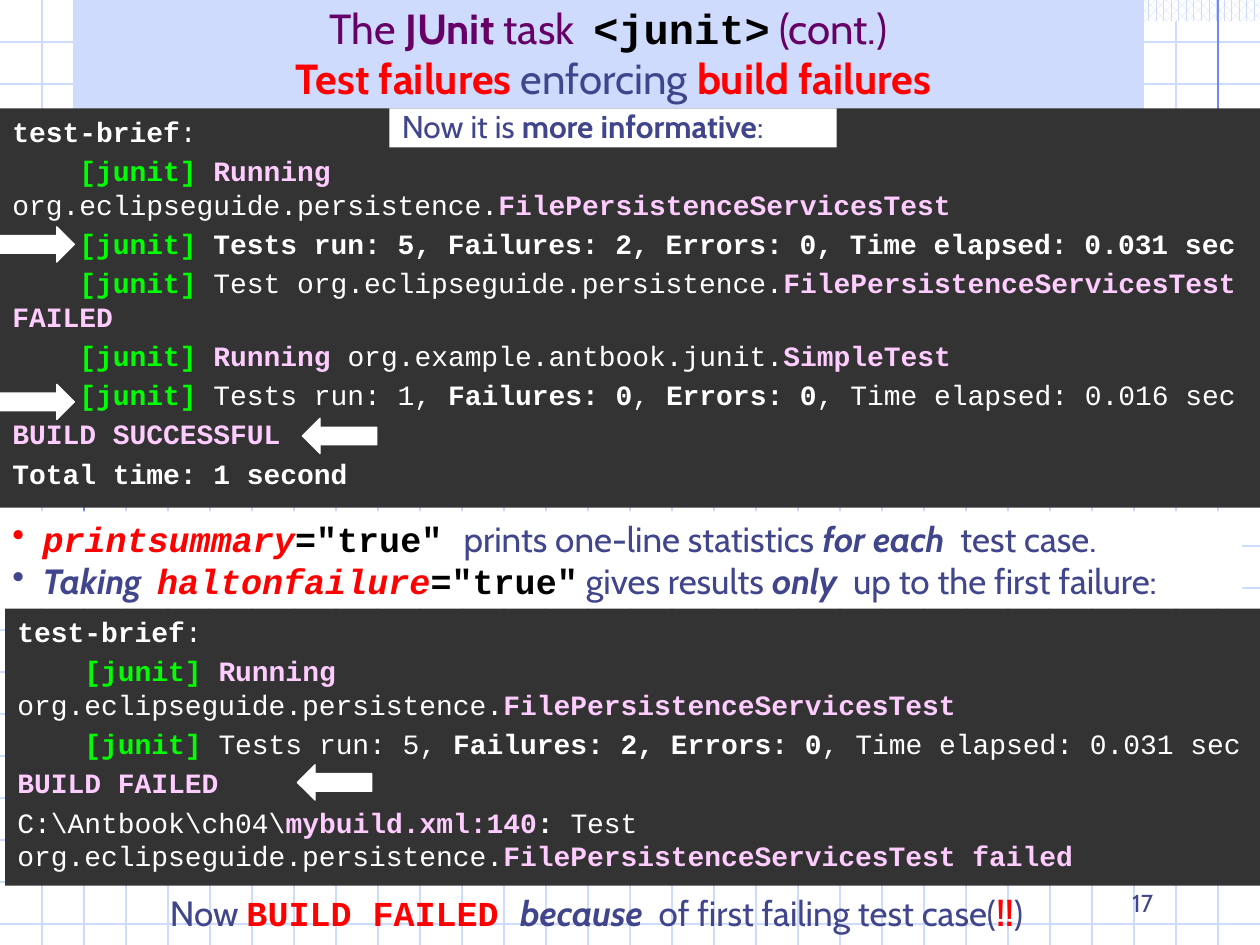
from typing import NamedTuple

from lxml import etree
from pptx import Presentation
from pptx.dml.color import RGBColor
from pptx.enum.dml import MSO_PATTERN
from pptx.enum.shapes import MSO_CONNECTOR, MSO_SHAPE
from pptx.enum.text import MSO_ANCHOR, PP_ALIGN
from pptx.oxml.ns import qn
from pptx.util import Inches, Pt

RECTANGLE, RIGHT_ARROW = MSO_SHAPE.RECTANGLE, MSO_SHAPE.RIGHT_ARROW
STRAIGHT = MSO_CONNECTOR.STRAIGHT
TOP, BOTTOM = MSO_ANCHOR.TOP, MSO_ANCHOR.BOTTOM
LEFT, CENTER, RIGHT = PP_ALIGN.LEFT, PP_ALIGN.CENTER, PP_ALIGN.RIGHT
DOTTED = MSO_PATTERN.PERCENT_60

WHITE = RGBColor(0xFF, 0xFF, 0xFF)
BLACK = RGBColor(0, 0, 0)
CHARCOAL = RGBColor(0x33, 0x33, 0x33)
PALE_BLUE = RGBColor(0xCF, 0xDB, 0xFD)
RULE_BLUE = RGBColor(0x6F, 0x89, 0xF7)
INDIGO = RGBColor(0x40, 0x45, 0x8C)
PURPLE = RGBColor(0x66, 0, 0x66)
RED = RGBColor(0xFF, 0, 0)
GREEN = RGBColor(0, 0xFF, 0)
PINK = RGBColor(0xFF, 0xCC, 0xFF)

SLIDE_WIDTH, SLIDE_HEIGHT = Inches(10), Inches(7.5)
GRID_COLUMNS, GRID_ROWS = 30, 22.5
BODY, MONO = "Cabin", "Courier New"


class Style(NamedTuple):
    color: RGBColor
    font: str = BODY
    bold: bool = False
    italic: bool = False


PLAIN = Style(INDIGO)
STRONG = Style(INDIGO, bold=True)
EMPHASIS = Style(INDIGO, bold=True, italic=True)
ALERT = Style(RED, bold=True)
HEADING, HEADING_STRONG = Style(PURPLE), Style(PURPLE, bold=True)
CODE = Style(BLACK, MONO, True)
ATTRIBUTE = Style(RED, MONO, True, True)
OUTPUT, OUTPUT_BOLD = Style(WHITE, MONO), Style(WHITE, MONO, True)
TAG, NAME = Style(GREEN, MONO, True), Style(PINK, MONO, True)

JUNIT = [("    ", OUTPUT), ("[junit] ", TAG)]
PACKAGE = "org.eclipseguide.persistence."
TEST_CLASS = "FilePersistenceServicesTest"
OPENING = [
    [("test-brief", OUTPUT_BOLD), (":", OUTPUT)],
    JUNIT + [("Running ", NAME), (PACKAGE, OUTPUT), (TEST_CLASS, NAME)],
]
PASSING_OUTPUT = OPENING + [
    JUNIT + [("Tests run: 5, Failures: 2, Errors: 0, Time elapsed: 0.031 sec", OUTPUT_BOLD)],
    JUNIT + [("Test " + PACKAGE, OUTPUT), (TEST_CLASS + " FAILED", NAME)],
    JUNIT + [("Running ", NAME), ("org.example.antbook.junit.", OUTPUT), ("SimpleTest", NAME)],
    JUNIT + [("Tests run: 1, ", OUTPUT), ("Failures: 0", OUTPUT_BOLD), (", ", OUTPUT),
             ("Errors: 0", OUTPUT_BOLD), (", Time elapsed: 0.016 sec", OUTPUT)],
    [("BUILD SUCCESSFUL", NAME)],
    [("Total time: 1 second", OUTPUT_BOLD)],
]
FAILING_OUTPUT = OPENING + [
    JUNIT + [("Tests run: 5, ", OUTPUT), ("Failures: 2, Errors: 0", OUTPUT_BOLD),
             (", Time elapsed: 0.031 sec", OUTPUT)],
    [("BUILD FAILED", NAME)],
    [("C:\\Antbook\\ch04\\", OUTPUT), ("mybuild.xml:140", NAME), (": ", OUTPUT_BOLD),
     ("Test " + PACKAGE, OUTPUT), (TEST_CLASS + " failed", NAME)],
]
TITLE_LINES = [
    [("The ", HEADING), ("JUnit", HEADING_STRONG), (" task  ", HEADING),
     ("<junit>", CODE), (" (cont.)", HEADING)],
    [(" ", HEADING), ("Test failures ", ALERT), ("enforcing ", PLAIN), ("build failures", ALERT)],
]
REMARKS = [
    [("printsummary", ATTRIBUTE), ('="true" ', CODE), ("prints one-line statistics ", PLAIN),
     ("for each  ", EMPHASIS), ("test case.", PLAIN)],
    [("Taking  ", EMPHASIS), ("haltonfailure", ATTRIBUTE), ('="true"', CODE),
     (" gives results ", PLAIN), ("only", EMPHASIS), ("  up to the first failure:", PLAIN)],
]
CONCLUSION = [("Now ", PLAIN), ("BUILD FAILED ", Style(RED, MONO, True)),
              ("because  ", EMPHASIS), ("of first failing test case(", PLAIN),
              ("!!", ALERT), (")", PLAIN)]
LABEL = [("Now it is ", PLAIN), ("more informative", STRONG), (":", PLAIN)]


def across(percent):
    return round(SLIDE_WIDTH * percent / 100)


def down(percent):
    return round(SLIDE_HEIGHT * percent / 100)


def place(left, top, width, height):
    """Turn percentages of the slide into a position and size."""
    return across(left), down(top), across(width), down(height)


def add_rule(slide, start, end, color):
    rule = slide.shapes.add_connector(
        STRAIGHT, across(start[0]), down(start[1]), across(end[0]), down(end[1]))
    rule.line.color.rgb = color
    rule.line.width = Pt(0.75)
    etree.SubElement(rule.element.spPr, qn("a:effectLst"))


def add_block(slide, area, fill, kind=RECTANGLE):
    block = slide.shapes.add_shape(kind, *place(*area))
    block.shadow.inherit = False
    block.fill.solid()
    block.fill.fore_color.rgb = fill
    block.line.fill.background()
    return block


def add_runs(paragraph, runs, size):
    for text, style in runs:
        run = paragraph.add_run()
        run.text = text
        run.font.name = style.font
        run.font.size = Pt(size)
        run.font.bold = style.bold
        run.font.italic = style.italic
        run.font.color.rgb = style.color


def write(shape, paragraphs, size, align=LEFT, anchor=TOP, gap=0):
    """Fill the shape with paragraphs, gap points apart."""
    frame = shape.text_frame
    frame.word_wrap = True
    frame.vertical_anchor = anchor
    for index, runs in enumerate(paragraphs):
        paragraph = frame.add_paragraph() if index else frame.paragraphs[0]
        paragraph.alignment = align
        paragraph.space_before = Pt(gap if index else 0)
        add_runs(paragraph, runs, size)
    return frame


def indent(paragraph, inches):
    properties = paragraph._p.get_or_add_pPr()
    properties.set("marL", str(Inches(inches)))
    properties.set("indent", str(-Inches(inches)))
    return properties


def add_background(slide):
    for row in range(1, int(GRID_ROWS) + 1):
        height = 100 * row / GRID_ROWS
        add_rule(slide, (0, height), (100, height), PALE_BLUE)
    for column in range(1, GRID_COLUMNS):
        position = 100 * column / GRID_COLUMNS
        add_rule(slide, (position, 0), (position, 100), PALE_BLUE)
    band = add_block(slide, (36.7, 0, 63.3, 2.27), WHITE)
    band.fill.patterned()
    band.fill.pattern = DOTTED
    band.fill.fore_color.rgb = PALE_BLUE
    band.fill.back_color.rgb = WHITE
    add_rule(slide, (96.67, 0), (96.67, 34.4), RULE_BLUE)
    add_rule(slide, (6.67, 20.67), (6.67, 54.53), RULE_BLUE)


def add_title(slide):
    title = add_block(slide, (5.8, 0, 85, 11.6), PALE_BLUE)
    frame = write(title, TITLE_LINES[:1], 24, CENTER, BOTTOM)
    frame.paragraphs[0].add_line_break()
    add_runs(frame.paragraphs[0], TITLE_LINES[1], 24)


def add_console(slide, area, paragraphs):
    write(add_block(slide, area, CHARCOAL), paragraphs, 16, gap=3.2)


def add_remarks(slide):
    frame = write(add_block(slide, (0, 54.13, 98.6, 10.27), WHITE), REMARKS, 20)
    for paragraph in frame.paragraphs:
        bullet = etree.SubElement(indent(paragraph, 0.24), qn("a:buChar"))
        bullet.set("char", "•")


def add_text(slide, area, runs, size, align=LEFT, anchor=TOP):
    write(slide.shapes.add_textbox(*place(*area)), [runs], size, align, anchor)


def add_label(slide):
    frame = write(add_block(slide, (30.9, 11.47, 35.5, 4.13), WHITE), [LABEL], 18)
    frame.paragraphs[0].line_spacing = 0.8
    indent(frame.paragraphs[0], 0.67)


def add_arrow(slide, left, top, rotation):
    arrow = add_block(slide, (left, top, 5.9, 3.73), WHITE, RIGHT_ARROW)
    arrow.line.color.rgb = WHITE
    arrow.line.width = Pt(0.75)
    arrow.rotation = rotation


def main():
    presentation = Presentation()
    presentation.slide_width, presentation.slide_height = SLIDE_WIDTH, SLIDE_HEIGHT
    slide = presentation.slides.add_slide(presentation.slide_layouts[6])
    add_background(slide)
    add_text(slide, (71.7, 91.07, 20.8, 6.67), [("17", PLAIN)], 14, RIGHT, BOTTOM)
    add_title(slide)
    add_console(slide, (0, 11.47, 100, 42.27), PASSING_OUTPUT)
    add_remarks(slide)
    add_console(slide, (0.4, 64.4, 100, 29.33), FAILING_OUTPUT)
    add_text(slide, (12.5, 93.73, 76.4, 5.87), CONCLUSION, 20)
    add_label(slide)
    for left, top, rotation in ((0, 24, 0), (0, 40.67, 0), (24, 44.27, 180), (23.6, 80.93, 180)):
        add_arrow(slide, left, top, rotation)
    presentation.save("out.pptx")


if __name__ == "__main__":
    main()
